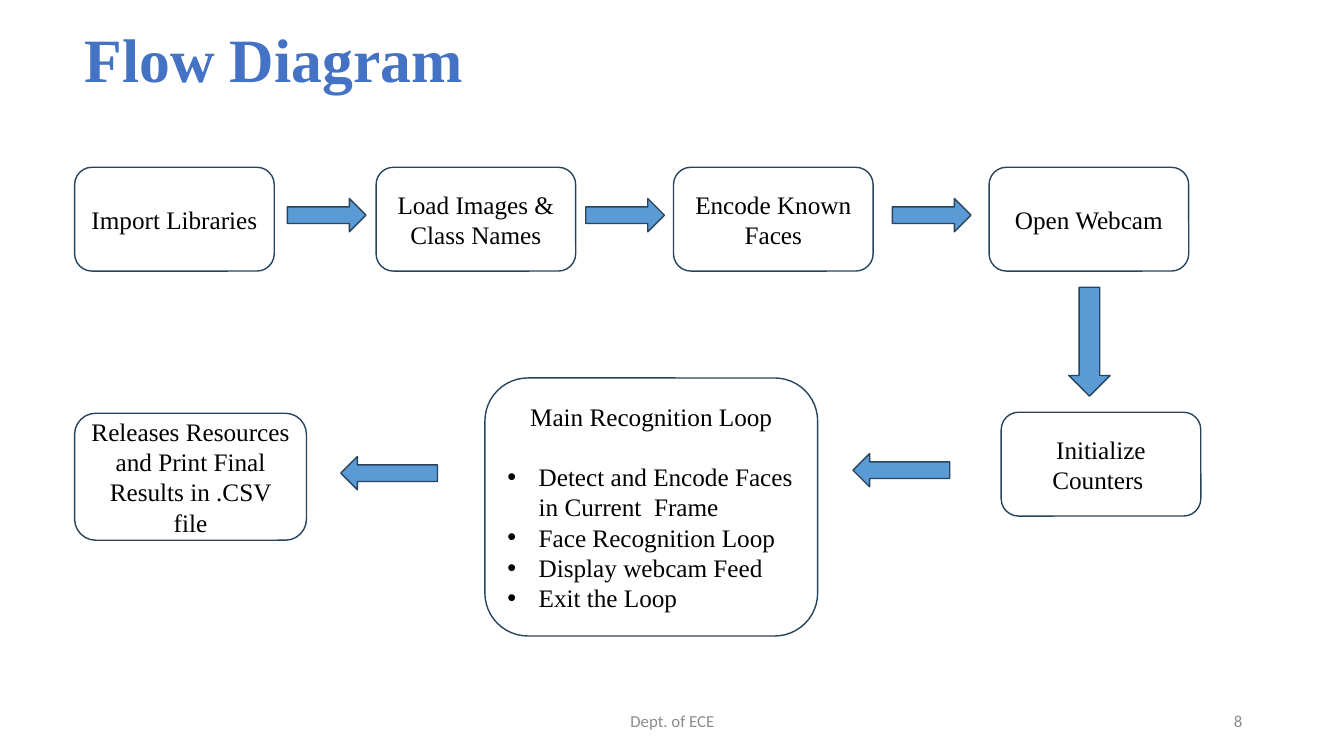
from dataclasses import dataclass

from lxml import etree
from pptx import Presentation, util as u
from pptx.dml.color import RGBColor
from pptx.enum import shapes, text
from pptx.oxml.ns import qn

PX = 9144  # EMU per px, 100 px to the inch


@dataclass(frozen=True)
class Theme:
    title: str = "4472C4"
    ink: str = "000000"
    muted: str = "8C8C8C"
    outline: str = "28445D"
    arrow: str = "5B9BD5"
    serif: str = "Times New Roman"
    sans: str = "Calibri"
    title_pt: int = 44
    body_pt: int = 18
    footer_pt: int = 12


@dataclass(frozen=True)
class Box:
    left: int
    top: int
    width: int
    height: int

    def emu(self) -> list[int]:
        return [v * PX for v in (self.left, self.top, self.width, self.height)]


@dataclass(frozen=True)
class Step:
    label: str
    box: Box
    bullets: tuple[str, ...] = ()


@dataclass(frozen=True)
class Arrow:
    kind: shapes.MSO_SHAPE
    box: Box


@dataclass(frozen=True)
class Caption:
    words: str
    box: Box
    align: text.PP_ALIGN
    anchor: text.MSO_ANCHOR
    font: str
    size: int
    color: str
    bold: bool = False


THEME = Theme()
ALIGN, ANCHOR, SHAPE = text.PP_ALIGN, text.MSO_ANCHOR, shapes.MSO_SHAPE

CAPTIONS = [
    Caption("Flow Diagram", Box(74, 16, 848, 84), ALIGN.LEFT, ANCHOR.TOP,
            THEME.serif, THEME.title_pt, THEME.title, True),
    Caption("Dept. of ECE", Box(442, 695, 450, 40), ALIGN.CENTER, ANCHOR.MIDDLE,
            THEME.sans, THEME.footer_pt, THEME.muted),
    Caption("8", Box(942, 695, 300, 40), ALIGN.RIGHT, ANCHOR.MIDDLE,
            THEME.sans, THEME.footer_pt, THEME.muted),
]

SETUP_STEPS = [
    Step(label, Box(left, 166, 198, 103))
    for label, left in (("Import Libraries ", 74), ("Load Images & Class Names", 373),
                        ("Encode Known Faces", 668), ("Open Webcam", 981))
]
RUN_STEPS = [
    Step("Initialize Counters ", Box(993, 409, 198, 103)),
    Step("Main Recognition Loop", Box(481, 375, 330, 256),
         ("Detect and Encode Faces in Current  Frame", "Face Recognition Loop",
          "Display webcam Feed", "Exit the Loop")),
    Step("Releases Resources and Print Final Results in .CSV file",
         Box(74, 410, 230, 126)),
]

ARROWS = [
    *(Arrow(SHAPE.RIGHT_ARROW, Box(left, 197, 78, 33)) for left in (285, 581, 885)),
    Arrow(SHAPE.DOWN_ARROW, Box(1060, 285, 41, 108)),
    *(Arrow(SHAPE.LEFT_ARROW, Box(left, top, 96, 33)) for left, top in ((846, 450), (338, 453))),
]


def style_runs(paragraph, font: str, size: int, color: str, bold: bool = False) -> None:
    for run in paragraph.runs:
        run.font.name = font
        run.font.size = u.Pt(size)
        run.font.bold = bold
        run.font.color.rgb = RGBColor.from_string(color)


def add_bullet(paragraph) -> None:
    props = paragraph._p.get_or_add_pPr()
    indent = 31 * PX
    props.set("marL", str(indent))
    props.set("indent", str(-indent))
    etree.SubElement(props, qn("a:buFont")).set("typeface", "Arial")
    etree.SubElement(props, qn("a:buChar")).set("char", "•")


def draw_outlined(slide, kind: shapes.MSO_SHAPE, box: Box):
    shape = slide.shapes.add_shape(kind, *box.emu())
    shape.shadow.inherit = False
    shape.line.color.rgb = RGBColor.from_string(THEME.outline)
    shape.line.width = u.Pt(1)
    return shape


def draw_caption(slide, caption: Caption) -> None:
    frame = slide.shapes.add_textbox(*caption.box.emu()).text_frame
    frame.word_wrap = True
    frame.vertical_anchor = caption.anchor
    frame.text = caption.words
    frame.paragraphs[0].alignment = caption.align
    style_runs(frame.paragraphs[0], caption.font, caption.size, caption.color, caption.bold)


def draw_step(slide, step: Step) -> None:
    shape = draw_outlined(slide, SHAPE.ROUNDED_RECTANGLE, step.box)
    shape.fill.background()
    frame = shape.text_frame
    frame.word_wrap = True
    frame.vertical_anchor = ANCHOR.MIDDLE
    frame.text = "\n".join((step.label, *step.bullets))
    heading, *items = frame.paragraphs
    heading.alignment = ALIGN.CENTER
    if items:
        heading.space_after = u.Pt(21.5)
    for item in items:
        item.alignment = ALIGN.LEFT
        add_bullet(item)
    for paragraph in frame.paragraphs:
        style_runs(paragraph, THEME.serif, THEME.body_pt, THEME.ink)


def draw_arrow(slide, arrow: Arrow) -> None:
    shape = draw_outlined(slide, arrow.kind, arrow.box)
    shape.fill.solid()
    shape.fill.fore_color.rgb = RGBColor.from_string(THEME.arrow)


def main() -> None:
    deck = Presentation()
    deck.slide_width, deck.slide_height = 1333 * PX, 750 * PX
    slide = deck.slides.add_slide(deck.slide_layouts[6])

    # Title and footer
    for caption in CAPTIONS:
        draw_caption(slide, caption)

    # Steps of the flow
    for step in SETUP_STEPS + RUN_STEPS:
        draw_step(slide, step)

    # Arrows between the steps
    for arrow in ARROWS:
        draw_arrow(slide, arrow)

    deck.save("out.pptx")


if __name__ == "__main__":
    main()
